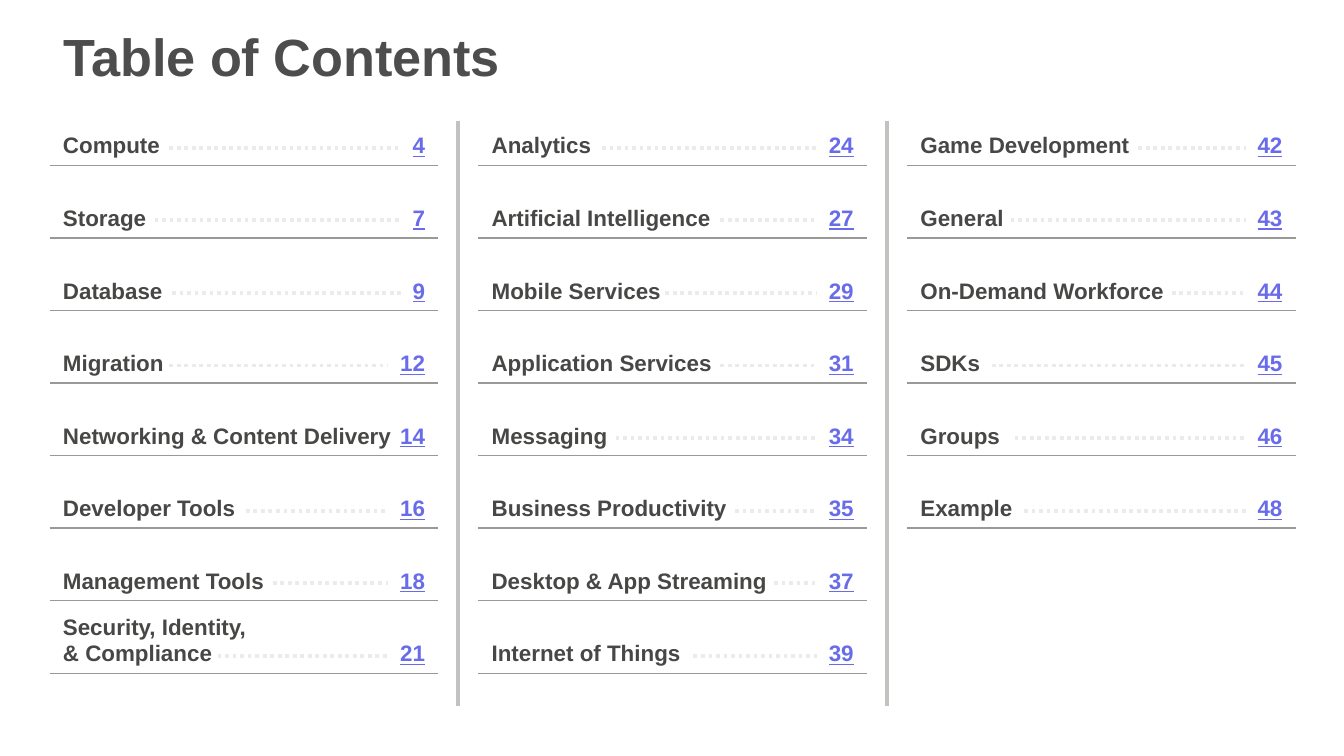
from lxml.etree import SubElement
from pptx import Presentation
from pptx.dml.color import RGBColor
from pptx.enum.dml import MSO_LINE
from pptx.enum.shapes import MSO_CONNECTOR
from pptx.enum.text import MSO_ANCHOR, MSO_AUTO_SIZE, PP_ALIGN
from pptx.oxml.ns import qn
from pptx.util import Pt

PX = 9144  # 100 px to the inch
COLUMN_LEFT, COLUMN_TOP, COLUMN_WIDTH, COLUMN_PITCH = 37, 93, 289, 319
ROW_HEIGHT, ROW_PITCH = 30, 54
LINE_HEIGHT = 20
PAGE_WIDTH = 39

# Each entry: label, page number, start of the dotted leader from the column's left
COLUMNS = [
    [
        ("Compute", 4, 89),
        ("Storage", 7, 78),
        ("Database", 9, 91),
        ("Migration", 12, 89),
        ("Networking & Content Delivery", 14, None),
        ("Developer Tools", 16, 146),
        ("Management Tools", 18, 166),
        ("Security, Identity, \v& Compliance", 21, 125),
    ],
    [
        ("Analytics", 24, 92),
        ("Artificial Intelligence", 27, 180),
        ("Mobile Services", 29, 139),
        ("Application Services", 31, 180),
        ("Messaging", 34, 102),
        ("Business Productivity", 35, 191),
        ("Desktop & App Streaming", 37, 220),
        ("Internet of Things", 39, 160),
    ],
    [
        ("Game Development", 42, 172),
        ("General", 43, 77),
        ("On-Demand Workforce", 44, 197),
        ("SDKs", 45, 63),
        ("Groups", 46, 80),
        ("Example", 48, 87),
    ],
]


def color(value):
    return RGBColor.from_string(value)


def place(shape, left, top, width, height):
    shape.left, shape.top = left * PX, top * PX
    shape.width, shape.height = width * PX, height * PX


def write(shape, text, size=12, fill="474746", align=PP_ALIGN.LEFT,
          underline=None, fit=MSO_AUTO_SIZE.SHAPE_TO_FIT_TEXT):
    frame = shape.text_frame
    frame.word_wrap = True
    frame.auto_size = fit
    frame.vertical_anchor = MSO_ANCHOR.TOP
    frame.text = text
    para = frame.paragraphs[0]
    para.alignment = align
    for span in para.runs:
        font = span.font
        font.name, font.size, font.bold = "Arial", Pt(size), True
        font.underline = underline
        font.color.rgb = color(fill)


def add_text(slide, left, top, width, height, text, **style):
    box = slide.shapes.add_textbox(0, 0, 0, 0)
    place(box, left, top, width, height)
    write(box, text, **style)


def add_line(slide, x1, y1, x2, y2, stroke, weight, dash=None):
    line = slide.shapes.add_connector(
        MSO_CONNECTOR.STRAIGHT, x1 * PX, y1 * PX, x2 * PX, y2 * PX)
    line.line.color.rgb = color(stroke)
    line.line.width = Pt(weight)
    if dash:
        line.line.dash_style = dash
    SubElement(line._element.spPr, qn("a:effectLst"))


def add_title(slide, left, top, width, height):
    title = slide.shapes.title
    place(title, left, top, width, height)
    write(title, "Table of Contents", size=28, fill="4C4D4C", fit=MSO_AUTO_SIZE.NONE)


def add_entry(slide, left, top, width, height, label, number, leader):
    bottom, right = top + height, left + width
    add_line(slide, left, bottom, right, bottom, "999A98", 0.75)

    extra_lines = label.count("\v")
    label_width = leader + 20 + 28 * extra_lines if leader else width - 20
    label_height = height + LINE_HEIGHT * extra_lines
    add_text(slide, left, bottom - label_height, label_width, label_height, label)
    add_text(slide, right - PAGE_WIDTH, top, PAGE_WIDTH, height, str(number),
             fill="686CEA", align=PP_ALIGN.RIGHT, underline=True)

    if leader:
        gap = 27 if number < 10 else 37
        add_line(slide, left + leader, top + 17, right - gap, top + 17,
                 "EBEBEA", 2, MSO_LINE.ROUND_DOT)


def add_column(slide, left, top, width, entries):
    for row, entry in enumerate(entries):
        add_entry(slide, left, top + row * ROW_PITCH, width, ROW_HEIGHT, *entry)


def main():
    deck = Presentation()
    deck.slide_width = 1000 * PX
    deck.slide_height = deck.slide_width * 9 // 16
    slide = deck.slides.add_slide(deck.slide_layouts[5])
    add_title(slide, COLUMN_LEFT, 13, 897, 60)
    for index, entries in enumerate(COLUMNS):
        left = COLUMN_LEFT + index * COLUMN_PITCH
        if index:
            add_line(slide, left - 15, 90, left - 15, 525, "C2C2C1", 2)
        add_column(slide, left, COLUMN_TOP, COLUMN_WIDTH, entries)
    deck.save("out.pptx")


if __name__ == "__main__":
    main()
